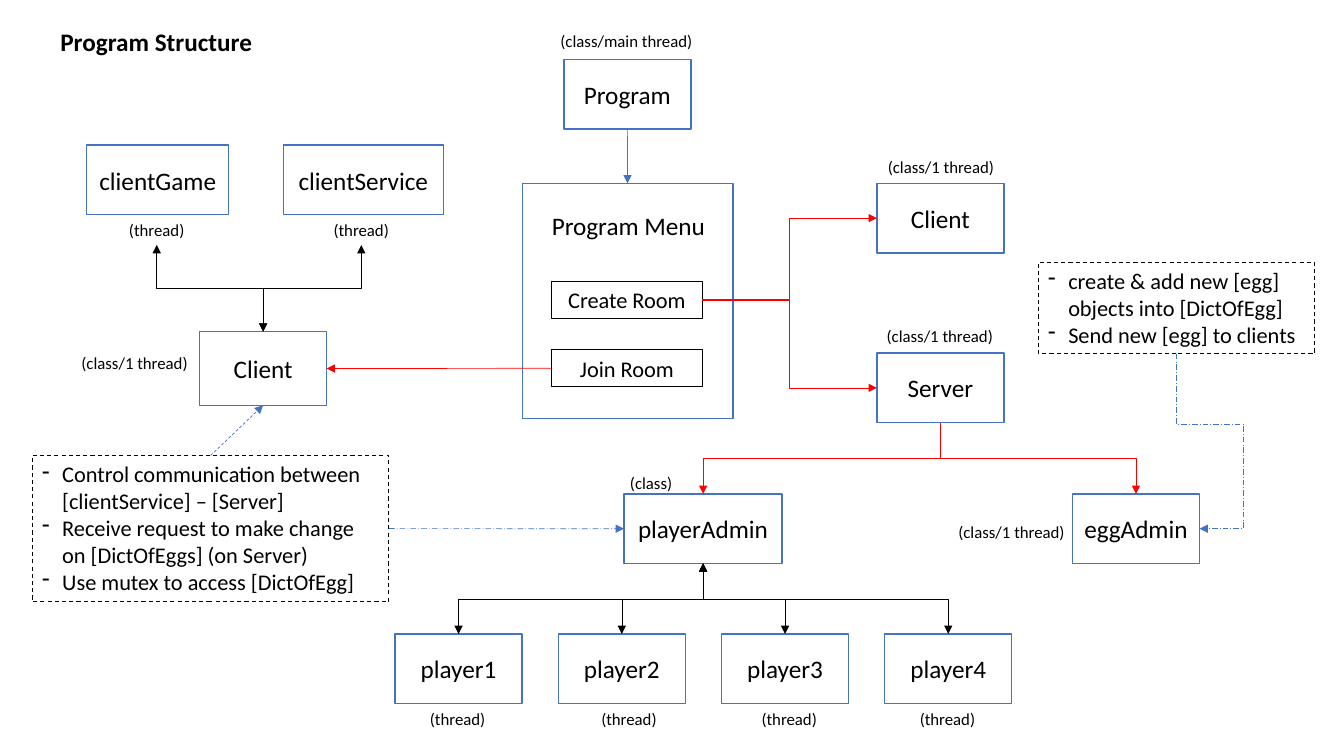
from lxml import etree
from pptx import Presentation
from pptx import util as u
from pptx.dml.color import RGBColor
from pptx.enum import dml, shapes, text
from pptx.oxml.ns import qn

BLUE, RED, BLACK, WHITE = "4472C4", "FF0000", "000000", "FFFFFF"
TOP, LEFT, BOTTOM, RIGHT = range(4)
BOX_W, BOX_H = 90.7, 49.7
DASH = dml.MSO_LINE.DASH
DASH_DOT = dml.MSO_LINE.LONG_DASH_DOT


def rgb(value):
    return RGBColor.from_string(value)


def set_line(line, color, width, dash=None):
    line.color.rgb = rgb(color)
    line.width = u.Pt(width)
    if dash:
        line.dash_style = dash


# Text
def write(sp, content, size=18, bold=False, align=text.PP_ALIGN.CENTER,
          anchor=text.MSO_ANCHOR.TOP, bullet=None):
    tf = sp.text_frame
    tf.word_wrap = True
    tf.vertical_anchor = anchor
    for i, line in enumerate(content.split("\n")):
        p = tf.add_paragraph() if i else tf.paragraphs[0]
        p.alignment = align
        r = p.add_run()
        r.text = line
        r.font.name = "Calibri"
        r.font.size = u.Pt(size)
        r.font.bold = bold
        r.font.color.rgb = rgb(BLACK)
        if bullet:
            pPr = p._p.get_or_add_pPr()
            pPr.set("marL", str(u.Pt(14.4)))
            pPr.set("indent", str(-u.Pt(14.4)))
            etree.SubElement(pPr, qn("a:buFontTx"))
            etree.SubElement(pPr, qn("a:buChar")).set("char", bullet)


def label(s, content, x, y, w, h=21.6, **fmt):
    sp = s.shapes.add_textbox(u.Pt(x), u.Pt(y), u.Pt(w), u.Pt(h))
    write(sp, content, **{"size": 12, **fmt})
    return sp


# Boxes
def rect(s, x, y, w, h, color, width, fill=None, dash=None):
    sp = s.shapes.add_shape(shapes.MSO_SHAPE.RECTANGLE,
                            u.Pt(x), u.Pt(y), u.Pt(w), u.Pt(h))
    sp.shadow.inherit = False
    if fill:
        sp.fill.solid()
        sp.fill.fore_color.rgb = rgb(fill)
    else:
        sp.fill.background()
    set_line(sp.line, color, width, dash)
    return sp


def box(s, name, x, y, w=BOX_W, h=BOX_H):
    sp = rect(s, x, y, w, h, BLUE, 1, WHITE)
    write(sp, name, anchor=text.MSO_ANCHOR.MIDDLE)
    return sp


def button(s, name, x, y):
    sp = rect(s, x, y, 108, 26.6, BLACK, 0.75)
    write(sp, name, size=16)
    return sp


def note(s, content, x, y, w, h):
    sp = rect(s, x, y, w, h, BLACK, 0.75, dash=DASH)
    write(sp, content, size=16, align=text.PP_ALIGN.LEFT, bullet="-")
    return sp


# Connectors
def side(sp, n):
    x = sp.left + {LEFT: 0, RIGHT: sp.width}.get(n, sp.width // 2)
    y = sp.top + {TOP: 0, BOTTOM: sp.height}.get(n, sp.height // 2)
    return x, y


def finish(c, color, width, dash, both=False):
    set_line(c.line, color, width, dash)
    etree.SubElement(c._element.spPr, qn("a:effectLst"))
    ln = c.line._get_or_add_ln()
    for end in ("headEnd", "tailEnd") if both else ("tailEnd",):
        etree.SubElement(ln, qn("a:" + end)).set("type", "triangle")


def arrow(s, a, a_side, b, b_side, color=BLUE, dash=None):
    c = s.shapes.add_connector(shapes.MSO_CONNECTOR.STRAIGHT,
                               *side(a, a_side), *side(b, b_side))
    c.begin_connect(a, a_side)
    c.end_connect(b, b_side)
    finish(c, color, 0.5, dash)


def elbow(s, a, a_side, b, b_side, color, width=0.5, dash=None, both=False, adj=()):
    (x1, y1), (x2, y2) = side(a, a_side), side(b, b_side)
    turn = 0
    if a_side in (TOP, BOTTOM):
        # A path that starts vertically is a quarter-turned elbow
        dx, dy = x2 - x1, y2 - y1
        cx, cy = (x1 + x2) // 2, (y1 + y2) // 2
        turn = 1 if dx * dy < 0 else -1
        x1, x2 = cx - turn * dy // 2, cx + turn * dy // 2
        y1, y2 = cy + turn * dx // 2, cy - turn * dx // 2
    c = s.shapes.add_connector(shapes.MSO_CONNECTOR.ELBOW, x1, y1, x2, y2)
    if turn:
        c._element.spPr.find(qn("a:xfrm")).set("rot", str(turn * 90 % 360 * 60000))
    if adj:
        geom = c._element.spPr.find(qn("a:prstGeom"))
        geom.set("prst", "bentConnector4")
        for i, value in enumerate(adj, 1):
            gd = etree.SubElement(geom.find(qn("a:avLst")), qn("a:gd"))
            gd.set("name", f"adj{i}")
            gd.set("fmla", f"val {value}")
    finish(c, color, width, dash, both)


def main():
    prs = Presentation()
    prs.slide_width, prs.slide_height = u.Pt(960), u.Pt(540)
    s = prs.slides.add_slide(prs.slide_layouts[6])

    label(s, "Program Structure", 36, 15.1, 213, 28.8, size=18, bold=True,
          align=text.PP_ALIGN.LEFT)

    # Program and its menu
    label(s, "(class/main thread)", 384.5, 18.7, 126)
    program = box(s, "Program", 402.8, 42.5)
    menu = rect(s, 373, 131, 150.5, 167.8, BLUE, 1, WHITE)
    label(s, "Program Menu", 386.6, 146.9, 124.6, 28.8, size=18)
    create = button(s, "Create Room", 393.8, 200.9)
    join = button(s, "Join Room", 393.8, 249.8)
    arrow(s, program, BOTTOM, menu, TOP)

    # Create room: client and server
    host = box(s, "Client", 626.4, 131)
    server = box(s, "Server", 626.4, 252.2)
    for target in (host, server):
        elbow(s, create, RIGHT, target, LEFT, RED)

    # Join room: client and its threads
    client = box(s, "Client", 142.6, 236.9, h=52.6)
    arrow(s, join, LEFT, client, RIGHT, RED)
    box(s, "clientGame", 61.9, 103.7, w=101.5)
    game = label(s, "(thread)", 72.7, 153.4, 78.5)
    box(s, "clientService", 202.3, 103.7, w=114.5)
    service = label(s, "(thread)", 213.8, 153.4, 88.6)
    for thread in (game, service):
        elbow(s, thread, BOTTOM, client, TOP, BLACK, both=True)

    # Server: admins
    player_admin = box(s, "playerAdmin", 445.7, 352.8, w=113)
    egg_admin = box(s, "eggAdmin", 766.1, 352.8)
    for admin in (player_admin, egg_admin):
        elbow(s, server, BOTTOM, admin, TOP, RED)
    label(s, "(class)", 429.8, 334.1, 70.6)
    for x, y in ((621.4, 108.7), (620.6, 229), (671.8, 369.4), (45.4, 248.4)):
        label(s, "(class/1 thread)", x, y, 101.5)

    # Players
    for i, label_x in enumerate((291.6, 414, 528.5, 641.5)):
        player = box(s, f"player{i + 1}", 282.2 + 116.6 * i, 452.9)
        label(s, "(thread)", label_x, 502.4, 70.6)
        elbow(s, player, TOP, player_admin, BOTTOM, BLACK, 0.25, both=True)

    # Notes
    requests = note(s, "Control communication between [clientService] – [Server]\n"
                    "Receive request to make change on [DictOfEggs] (on Server)\n"
                    "Use mutex to access [DictOfEgg]", 23, 325.4, 254.9, 104.4)
    arrow(s, requests, TOP, client, BOTTOM, dash=DASH)
    arrow(s, requests, RIGHT, player_admin, LEFT, dash=DASH_DOT)
    eggs = note(s, "create & add new [egg] objects into [DictOfEgg]\n"
                "Send new [egg] to clients", 741.6, 187.2, 197.3, 65.5)
    elbow(s, eggs, BOTTOM, egg_admin, RIGHT, BLUE, dash=DASH_DOT, adj=(40100, 289700))

    prs.save("out.pptx")


if __name__ == "__main__":
    main()
